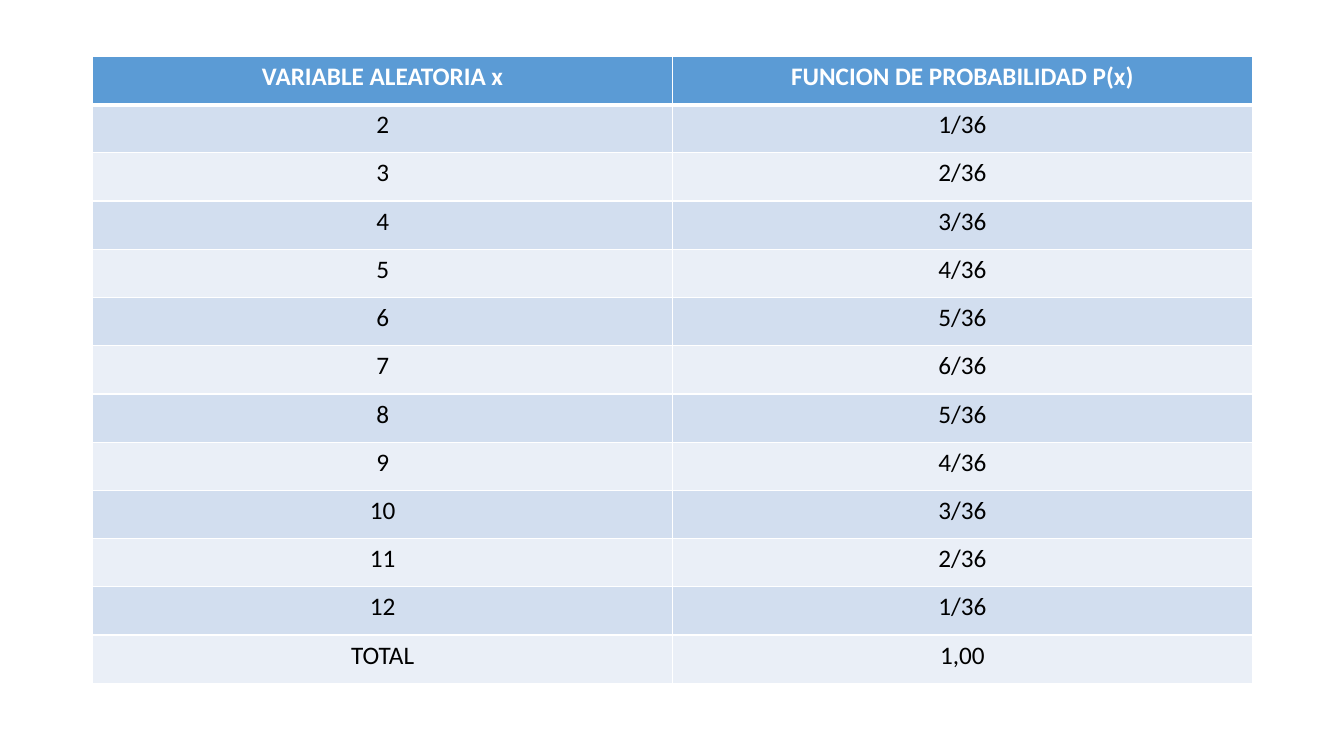
from lxml.etree import SubElement as Sub
from pptx import Presentation as Deck
from pptx.dml.color import RGBColor as Color
from pptx.enum.text import PP_ALIGN as Align
from pptx.oxml.ns import qn
from pptx.util import Inches, Pt

HUES = {"head": "5B9BD5", "odd": "D2DEEF", "even": "EAEFF7",
        "rule": "FFFFFF", "light": "FFFFFF", "dark": "000000"}
HEAD = ("VARIABLE ALEATORIA x", "FUNCION DE PROBABILIDAD P(x)")
BODY = [(str(x), f"{6 - abs(x - 7)}/36") for x in range(2, 13)]
ROWS = [HEAD, *BODY, ("TOTAL", "1,00")]


def edge(cell, side, width):
    line = Sub(cell._tc.get_or_add_tcPr(), qn(f"a:ln{side}"), w=str(Pt(width)))
    fill = Sub(line, qn("a:solidFill"))
    Sub(fill, qn("a:srgbClr"), val=HUES["rule"])


def style(cell, text, row):
    head = row == 0
    rules = {"L": 1, "R": 1, "T": 3 if row == 1 else 1, "B": 3 if head else 1}
    for side, width in rules.items():
        edge(cell, side, width)
    band = "head" if head else "odd" if row % 2 else "even"
    cell.fill.solid()
    cell.fill.fore_color.rgb = Color.from_string(HUES[band])
    cell.text = text
    para = cell.text_frame.paragraphs[0]
    para.alignment = Align.CENTER
    font = para.runs[0].font
    for name, value in {"name": "Calibri", "size": Pt(18), "bold": head}.items():
        setattr(font, name, value)
    font.color.rgb = Color.from_string(HUES["light" if head else "dark"])


def grid(slide, box, rows):
    table = slide.shapes.add_table(len(rows), len(rows[0]), *box).table
    for col in table.columns:
        col.width = box[2] // len(rows[0])
    for row, texts in enumerate(rows):
        table.rows[row].height = box[3] // len(rows)
        for col, text in enumerate(texts):
            style(table.cell(row, col), text, row)


def main():
    deck = Deck()
    deck.slide_width, deck.slide_height = Inches(13.33), Inches(7.5)
    slide = deck.slides.add_slide(deck.slide_layouts[6])
    grid(slide, [Inches(n) for n in (0.92, 0.56, 11.5, 6.22)], ROWS)
    deck.save("out.pptx")


if __name__ == "__main__":
    main()
